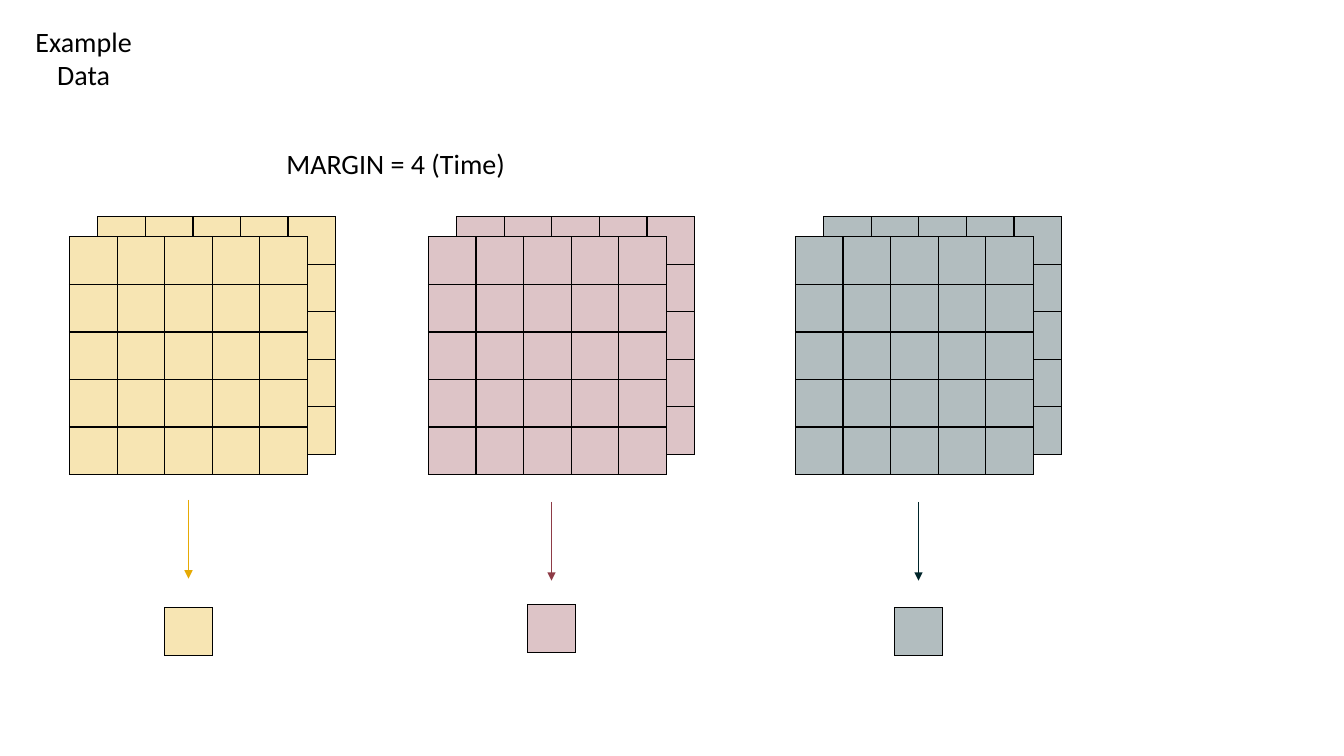
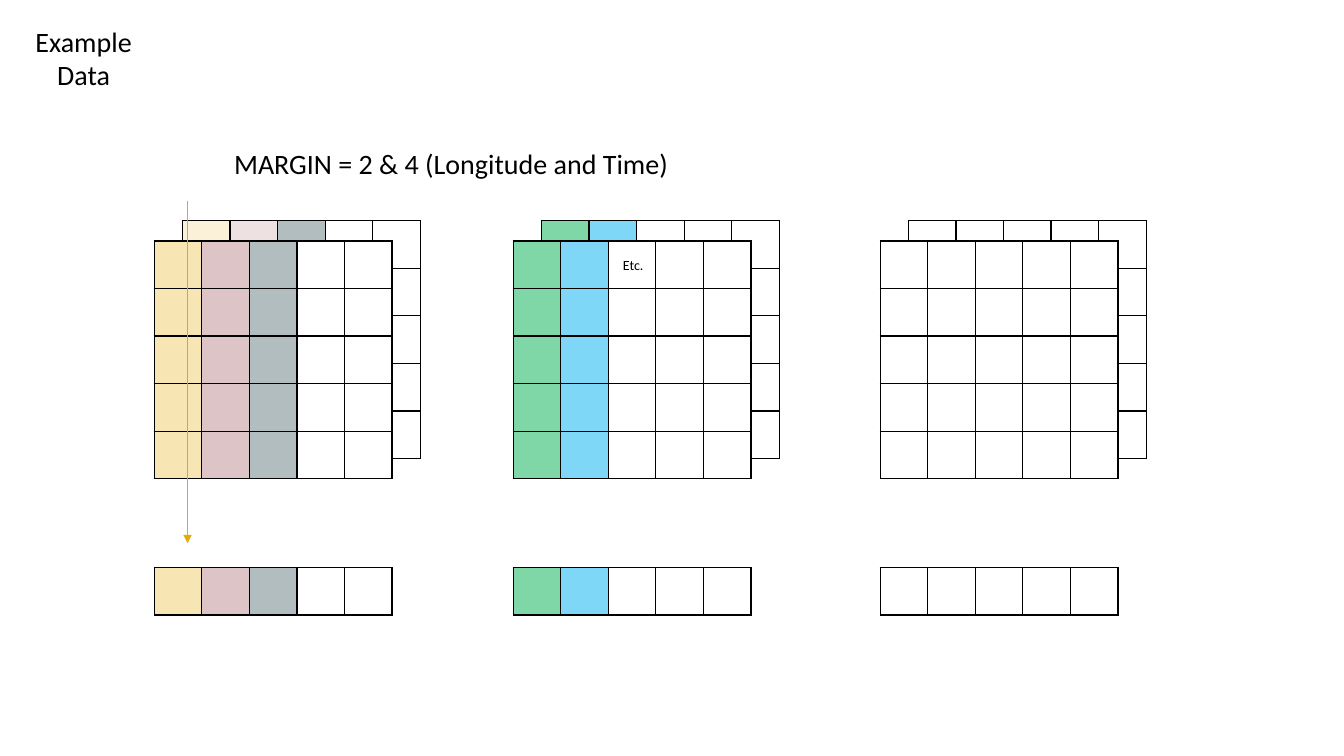
from lxml import etree
from pptx import Presentation
from pptx.dml.color import RGBColor
from pptx.enum.shapes import MSO_CONNECTOR
from pptx.enum.text import MSO_AUTO_SIZE, PP_ALIGN
from pptx.oxml.ns import qn
from pptx.util import Inches, Pt

STRAIGHT = MSO_CONNECTOR.STRAIGHT
LEFT, CENTER = PP_ALIGN.LEFT, PP_ALIGN.CENTER
FIT = MSO_AUTO_SIZE.SHAPE_TO_FIT_TEXT

COLORS = {
    "black": "000000", "white": "FFFFFF",
    "yellow": "F7E5B3", "rose": "DDC4C7", "gray": "B2BDBF",
    "green": "7FD7A7", "blue": "7FD7F7",
    "amber": "E6AA04", "maroon": "8E3B46", "ink": "00252A",
}
FONT = "Calibri"
N = 5                        # cells along each side of a grid
CELL = 2.36 / N
BACK_DX, BACK_DY = 0.28, -0.2
GRID_LEFTS = (0.69, 4.25, 7.89)


def rgb(name):
    return RGBColor.from_string(COLORS[name])


class Deck:
    def __init__(self):
        self.prs = Presentation()
        self.prs.slide_width, self.prs.slide_height = Inches(13.33), Inches(7.5)
        self.s = None

    def slide(self, heading, left, width):
        """Start a slide with the shared label and its own heading."""
        self.s = self.prs.slides.add_slide(self.prs.slide_layouts[6])
        self.text("Example Data", 0.13, 0.19, 1.4, 0.77)
        self.text(heading, left, 1.4, width, 0.44)

    def text(self, text, x, y, w, h, size=20, align=CENTER):
        sp = self.s.shapes.add_textbox(Inches(x), Inches(y), Inches(w), Inches(h))
        tf = sp.text_frame
        tf.word_wrap, tf.auto_size = True, FIT
        p = tf.paragraphs[0]
        p.alignment = align
        r = p.add_run()
        r.text = text
        r.font.size, r.font.name = Pt(size), FONT
        r.font.color.rgb = rgb("black")

    def border(self, cell):
        """Put a thin black line on all four sides of a cell."""
        for i, side in enumerate(("a:lnL", "a:lnR", "a:lnT", "a:lnB")):
            ln = etree.Element(qn(side), w=str(Pt(1)))
            fill = etree.SubElement(ln, qn("a:solidFill"))
            etree.SubElement(fill, qn("a:srgbClr"), val=COLORS["black"])
            cell._tc.get_or_add_tcPr().insert(i, ln)

    def grid(self, x, y, columns, rows=N, faded=0):
        """Draw a table with one colour per column; the first ones may be faded."""
        tbl = self.s.shapes.add_table(
            rows, len(columns), Inches(x), Inches(y),
            Inches(CELL * len(columns)), Inches(CELL * rows)).table
        tbl.first_row = tbl.horz_banding = False
        for line in (*tbl.columns, *tbl.rows):
            if line in tbl.columns:
                line.width = Inches(CELL)
            else:
                line.height = Inches(CELL)
        for i, cell in enumerate(tbl.iter_cells()):
            col = i % len(columns)
            cell.fill.solid()
            cell.fill.fore_color.rgb = rgb(columns[col])
            if col < faded:
                clr = cell._tc.tcPr.find(".//" + qn("a:srgbClr"))
                etree.SubElement(clr, qn("a:alpha"), val="50000")
            self.border(cell)

    def stack(self, x, y, columns, faded=0):
        """Draw a grid in front of a shifted second one."""
        self.grid(x + BACK_DX, y + BACK_DY, columns, faded=faded)
        self.grid(x, y, columns)

    def arrow(self, x, top, bottom, color):
        c = self.s.shapes.add_connector(
            STRAIGHT, Inches(x), Inches(top), Inches(x), Inches(bottom))
        c.line.color.rgb, c.line.width = rgb(color), Pt(0.5)
        etree.SubElement(c.line._get_or_add_ln(), qn("a:tailEnd"), type="triangle")
        etree.SubElement(c._element.spPr, qn("a:effectLst"))


def time_slide(deck):
    deck.slide("MARGIN = 4 (Time)", 1.87, 4.11)
    # Each stack shrinks to one cell: fill, arrow colour, arrow x, arrow top, cell top
    results = (
        ("yellow", "amber", 1.87, 4.96, 6.03),
        ("rose", "maroon", 5.47, 4.98, 6),
        ("gray", "ink", 9.11, 4.98, 6.03),
    )
    for left, (fill, line, x, top, cell_top) in zip(GRID_LEFTS, results):
        deck.stack(left, 2.35, [fill] * N)
        deck.grid(x - CELL / 2, cell_top, [fill], rows=1)
        deck.arrow(x, top, top + 0.78, line)


def longitude_time_slide(deck):
    deck.slide("MARGIN = 2 & 4 (Longitude and Time)", 1.95, 5.05)
    # Each stack shrinks to one row: coloured columns, faded columns at the back
    groups = ((["yellow", "rose", "gray"], 2), (["green", "blue"], 0), ([], 0))
    for left, (colored, faded) in zip(GRID_LEFTS, groups):
        columns = colored + ["white"] * (N - len(colored))
        deck.stack(left + 0.84, 2.39, columns, faded)
        deck.grid(left + 0.84, 5.63, columns, rows=1)
    deck.text("Etc.", 6.08, 2.5, 0.58, 0.27, size=10, align=LEFT)
    deck.arrow(1.86, 1.99, 5.39, "amber")


def main():
    deck = Deck()
    time_slide(deck)
    longitude_time_slide(deck)
    deck.prs.save("out.pptx")


if __name__ == "__main__":
    main()
